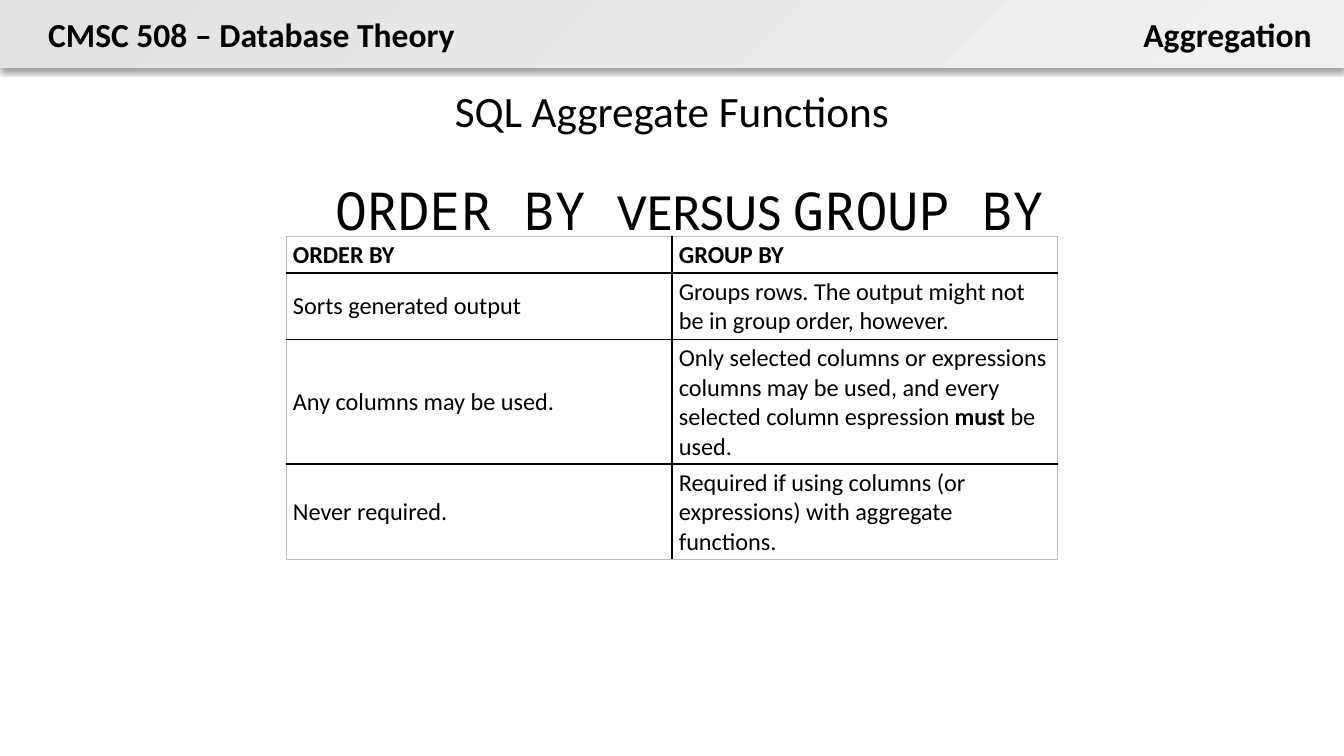
from lxml import etree
from pptx import Presentation
from pptx.dml.color import RGBColor
from pptx.enum.shapes import MSO_SHAPE
from pptx.enum.text import MSO_ANCHOR, MSO_AUTO_SIZE, PP_ALIGN
from pptx.oxml.ns import qn
from pptx.util import Pt

LEFT, CENTER, RIGHT = PP_ALIGN.LEFT, PP_ALIGN.CENTER, PP_ALIGN.RIGHT
TOP, MIDDLE = MSO_ANCHOR.TOP, MSO_ANCHOR.MIDDLE
RECTANGLE = MSO_SHAPE.RECTANGLE
NO_FIT, GROW = MSO_AUTO_SIZE.NONE, MSO_AUTO_SIZE.SHAPE_TO_FIT_TEXT

SLIDE_W, SLIDE_H = 1344, 756
EMU_PER_PX = 9144000 / SLIDE_W
COLORS = {"text": "000000", "rule": "000000", "edge": "BFBFBF",
          "band_dark": "E2E2E2", "band_light": "F0F0F0", "shadow": "000000"}
SANS, MONO = "Calibri", "Noto Sans Mono"

COLUMN_W = 386
ROW_HEIGHTS = [37, 65, 124, 94]
# Each cell is a list of (text, bold) runs
COMPARISON = [
    ([("ORDER BY", True)], [("GROUP BY", True)]),
    ([("Sorts generated output", False)],
     [("Groups rows. The output might not be in group order, however.", False)]),
    ([("Any columns may be used.", False)],
     [("Only selected columns or expressions columns may be used, "
       "and every selected column espression ", False),
      ("must", True), (" be used.", False)]),
    ([("Never required.", False)],
     [("Required if using columns (or expressions) with aggregate functions.",
       False)]),
]


def px(value):
    return round(value * EMU_PER_PX)


def rgb(name):
    return RGBColor.from_string(COLORS[name])


def add_run(paragraph, text, size, font=SANS, bold=False):
    run = paragraph.add_run()
    run.text = text
    run.font.size = Pt(size)
    run.font.name = font
    run.font.bold = bold
    run.font.color.rgb = rgb("text")


def place(shape, left, top, width, height):
    shape.left, shape.top = px(left), px(top)
    shape.width, shape.height = px(width), px(height)


def add_color(parent, name):
    return etree.SubElement(parent, qn("a:srgbClr"), val=COLORS[name])


def add_header_band(slide):
    band = slide.shapes.add_shape(RECTANGLE, 0, 0, px(SLIDE_W), px(68))
    band.line.fill.background()
    band.fill.gradient()
    band.fill.gradient_angle = 315
    for stop, name in zip(band.fill.gradient_stops, ("band_dark", "band_light")):
        stop.color.rgb = rgb(name)
    # Soft shadow straight below the band
    band.shadow.inherit = False
    effects = band._element.spPr.find(qn("a:effectLst"))
    shadow = etree.SubElement(effects, qn("a:outerShdw"), blurRad=str(Pt(3.1)),
                              dist=str(Pt(1.6)), dir="5400000", rotWithShape="0")
    etree.SubElement(add_color(shadow, "shadow"), qn("a:alpha"), val="38000")


def add_header_label(slide, text, left, width, align):
    label = slide.shapes.add_textbox(px(left), px(7), px(width), px(54))
    frame = label.text_frame
    frame.word_wrap = False
    frame.auto_size = GROW
    frame.paragraphs[0].alignment = align
    add_run(frame.paragraphs[0], text, 18, bold=True)


def fill_title(title, text):
    place(title, 0, 67, SLIDE_W, 83)
    frame = title.text_frame
    frame.auto_size = NO_FIT
    frame.vertical_anchor = MIDDLE
    paragraph = frame.paragraphs[0]
    paragraph.alignment = CENTER
    paragraph.line_spacing = Pt(30)
    add_run(paragraph, text, 23.2)


def fill_heading(body, parts):
    place(body, 286, 171, 816, 144)
    frame = body.text_frame
    frame.auto_size = GROW
    frame.vertical_anchor = TOP
    paragraph = frame.paragraphs[0]
    paragraph.level = 1
    paragraph.space_before = Pt(5.3)
    properties = paragraph._p.get_or_add_pPr()
    properties.set("marL", str(px(36)))
    properties.set("indent", "0")
    etree.SubElement(properties, qn("a:buNone"))
    for text, font in parts:
        add_run(paragraph, text, 28, font)


def add_border(cell, side, is_edge):
    width, name = (0.5, "edge") if is_edge else (1, "rule")
    line = etree.SubElement(cell._tc.get_or_add_tcPr(), qn(f"a:ln{side}"),
                            w=str(Pt(width)))
    add_color(etree.SubElement(line, qn("a:solidFill")), name)


def add_comparison(slide, left, top):
    last_row, last_column = len(COMPARISON) - 1, len(COMPARISON[0]) - 1
    table = slide.shapes.add_table(
        last_row + 1, last_column + 1, px(left), px(top),
        px(COLUMN_W * (last_column + 1)), px(sum(ROW_HEIGHTS))).table
    table.first_row = table.horz_banding = False
    for column in table.columns:
        column.width = px(COLUMN_W)
    for r, (height, contents) in enumerate(zip(ROW_HEIGHTS, COMPARISON)):
        table.rows[r].height = px(height)
        for c, runs in enumerate(contents):
            cell = table.cell(r, c)
            cell.margin_left = cell.margin_right = px(7)
            cell.margin_top = cell.margin_bottom = px(4)
            cell.vertical_anchor = MIDDLE if r else TOP
            for text, bold in runs:
                add_run(cell.text_frame.paragraphs[0], text, 13, bold=bold)
            # Black rules inside, thin grey outer edge
            for side, is_edge in (("L", c == 0), ("R", c == last_column),
                                  ("T", r == 0), ("B", r == last_row)):
                add_border(cell, side, is_edge)
            cell.fill.background()


def main():
    deck = Presentation()
    deck.slide_width, deck.slide_height = px(SLIDE_W), px(SLIDE_H)
    slide = deck.slides.add_slide(deck.slide_layouts[1])

    # Header
    add_header_band(slide)
    add_header_label(slide, "CMSC 508 – Database Theory", 35, 438, LEFT)
    add_header_label(slide, "Aggregation", 1129, 196, RIGHT)

    # Title and heading
    fill_title(slide.shapes.title, "SQL Aggregate Functions")
    fill_heading(slide.placeholders[1],
                 [("ORDER BY ", MONO), ("VERSUS ", SANS), ("GROUP BY", MONO)])

    # Comparison table
    add_comparison(slide, 286, 236)
    deck.save("out.pptx")


if __name__ == "__main__":
    main()
